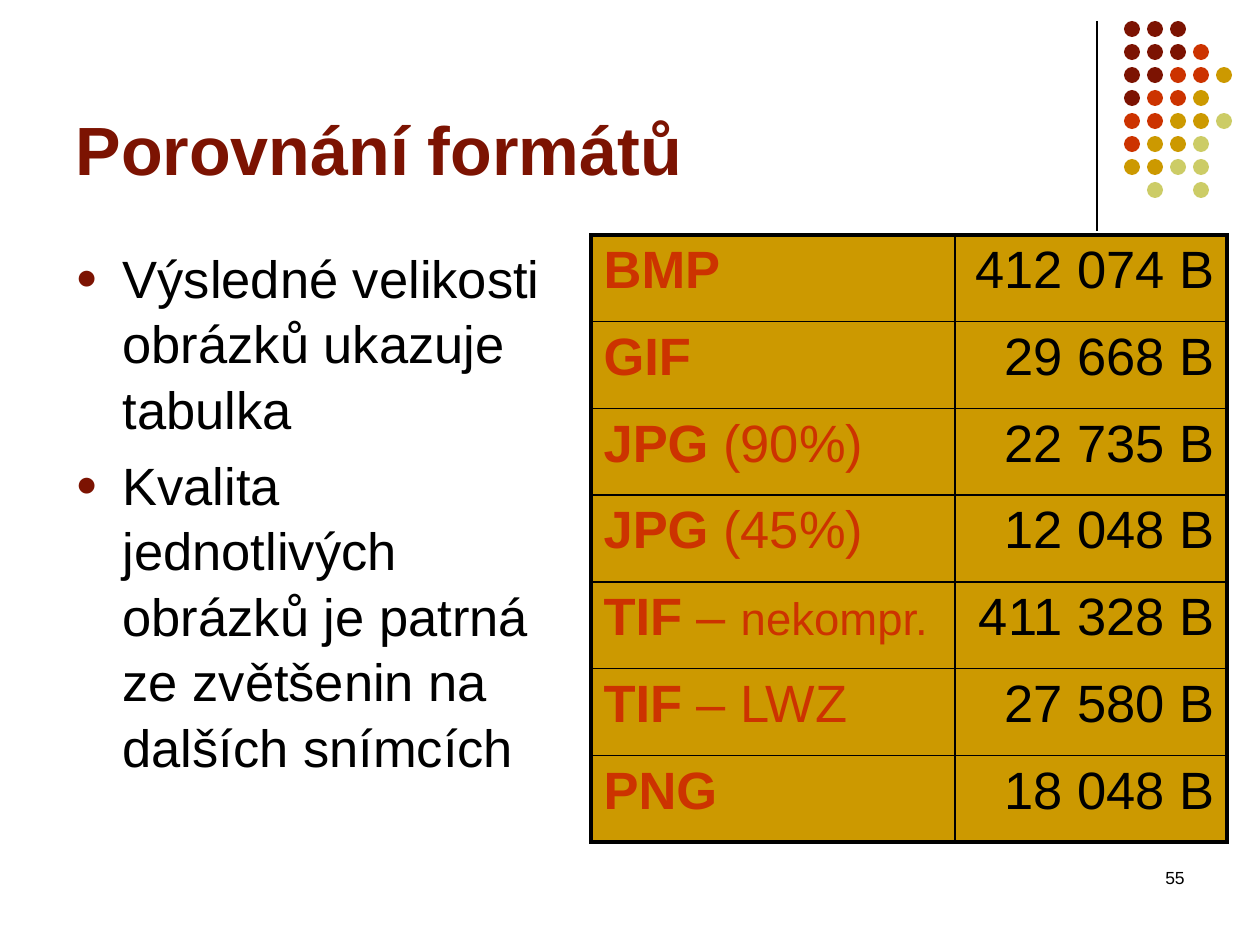
from lxml.etree import SubElement
from pptx import Presentation
from pptx.dml.color import RGBColor
from pptx.enum.shapes import MSO_CONNECTOR as CONN, MSO_SHAPE as SHAPE
from pptx.enum.text import MSO_ANCHOR as ANCHOR, MSO_AUTO_SIZE as AUTO, PP_ALIGN as ALIGN
from pptx.oxml.ns import qn
from pptx.util import Emu, Pt

SCALE = 914400 / 126
FONT = "Arial"
COLORS = {"black": "000000", "maroon": "7C1302", "red": "CC3300",
          "gold": "CC9900", "olive": "CCCC66"}
DOT_KEYS = {"m": "maroon", "r": "red", "g": "gold", "o": "olive"}
DOTS = ["mmm", "mmmr", "mmrrg", "mrrg", "rrggo", "rggo", "ggoo", " o o"]
BULLETS = ["Výsledné velikosti obrázků ukazuje tabulka",
           "Kvalita jednotlivých obrázků je patrná ze zvětšenin na dalších snímcích"]
FORMATS = [
    ([("BMP", 30)], "412 074 B"),
    ([("GIF", 30)], "29 668 B"),
    ([("JPG", 30), (" (90%)", 30)], "22 735 B"),
    ([("JPG", 30), (" (45%)", 30)], "12 048 B"),
    ([("TIF", 30), (" – ", 30), ("nekompr.", 26)], "411 328 B"),
    ([("TIF", 30), (" – LWZ", 30)], "27 580 B"),
    ([("PNG", 30)], "18 048 B"),
]


def px(n):
    return Emu(round(n * SCALE))


def rgb(name):
    return RGBColor.from_string(COLORS[name])


def style(font, size, color, bold=False):
    font.name, font.size, font.bold = FONT, Pt(size), bold
    font.color.rgb = rgb(color)


def place(sp, x, y, w, h):
    sp.left, sp.top, sp.width, sp.height = px(x), px(y), px(w), px(h)


def add_rule(s, x, top, bottom):
    line = s.shapes.add_connector(CONN.STRAIGHT, px(x), px(top), px(x), px(bottom))
    line.line.color.rgb = rgb("black")
    line.line.width = Pt(0.75)
    SubElement(line._element.spPr, qn("a:effectLst"))


def add_dots(s, x, y, pitch, size):
    for row, keys in enumerate(DOTS):
        for col, key in enumerate(keys):
            if key in DOT_KEYS:
                dot = s.shapes.add_shape(SHAPE.OVAL, px(x + col * pitch),
                                         px(y + row * pitch), px(size), px(size))
                dot.shadow.inherit = False
                dot.fill.solid()
                dot.fill.fore_color.rgb = rgb(DOT_KEYS[key])
                dot.line.fill.background()


def set_title(sp, text):
    place(sp, 63, 16, 1040, 179)
    tf = sp.text_frame
    tf.text = text
    tf.auto_size = AUTO.NONE
    tf.vertical_anchor = ANCHOR.BOTTOM
    p = tf.paragraphs[0]
    p.alignment = ALIGN.LEFT
    style(p.runs[0].font, 39, "maroon", True)


def add_bullet(p):
    pPr = p._p.get_or_add_pPr()
    pPr.set("marL", str(px(47)))
    pPr.set("indent", str(-px(47)))
    SubElement(SubElement(pPr, qn("a:buClr")), qn("a:srgbClr"), val=COLORS["maroon"])
    SubElement(pPr, qn("a:buSzPct"), val="70000")
    SubElement(pPr, qn("a:buFont"), typeface=FONT)
    SubElement(pPr, qn("a:buChar"), char="●")


def set_body(sp, items):
    place(sp, 63, 237, 498, 607)
    tf = sp.text_frame
    tf.auto_size = AUTO.NONE
    for i, item in enumerate(items):
        p = tf.add_paragraph() if i else tf.paragraphs[0]
        p.text = item
        add_bullet(p)
        p.line_spacing = 1.04
        p.space_before = Pt(6 if i else 0)
        style(p.runs[0].font, 30, "black")


def set_borders(cell, widths):
    tcPr = cell._tc.get_or_add_tcPr()
    for side, width in zip("LRTB", widths):
        ln = SubElement(tcPr, qn(f"a:ln{side}"), w=str(Pt(width)))
        SubElement(SubElement(ln, qn("a:solidFill")), qn("a:srgbClr"), val=COLORS["black"])


def fill_cell(cell, parts, color, bold_first, align):
    p = cell.text_frame.paragraphs[0]
    p.alignment = align
    for i, (text, size) in enumerate(parts):
        r = p.add_run()
        r.text = text
        style(r.font, size, color, bold_first and i == 0)
    cell.fill.solid()
    cell.fill.fore_color.rgb = rgb("gold")


def add_format_table(s):
    last = len(FORMATS) - 1
    table = s.shapes.add_table(len(FORMATS), 2, px(591), px(235), px(636), px(607)).table
    table.first_row = table.horz_banding = False
    for col, width in zip(table.columns, (364, 272)):
        col.width = px(width)
    for i, (label, size) in enumerate(FORMATS):
        name_cell, size_cell = table.cell(i, 0), table.cell(i, 1)
        top, bottom = 2.25 if i == 0 else 1, 2.25 if i == last else 1
        set_borders(name_cell, (2.25, 1, top, bottom))
        set_borders(size_cell, (1, 2.25, top, bottom))
        fill_cell(name_cell, label, "red", True, ALIGN.LEFT)
        fill_cell(size_cell, [(size, 30)], "black", False, ALIGN.RIGHT)


def add_page_number(s, text):
    tf = s.shapes.add_textbox(px(903), px(861), px(294), px(63)).text_frame
    tf.word_wrap = True
    tf.text = text
    p = tf.paragraphs[0]
    p.alignment = ALIGN.RIGHT
    style(p.runs[0].font, 10, "black")


def main():
    prs = Presentation()
    prs.slide_width, prs.slide_height = px(1260), px(945)
    s = prs.slides.add_slide(prs.slide_layouts[1])
    add_rule(s, 1097, 21, 231)
    add_dots(s, 1124, 21, 23, 16)
    set_title(s.shapes.title, "Porovnání formátů")
    set_body(s.placeholders[1], BULLETS)
    add_format_table(s)
    add_page_number(s, "55")
    prs.save("out.pptx")


if __name__ == "__main__":
    main()
